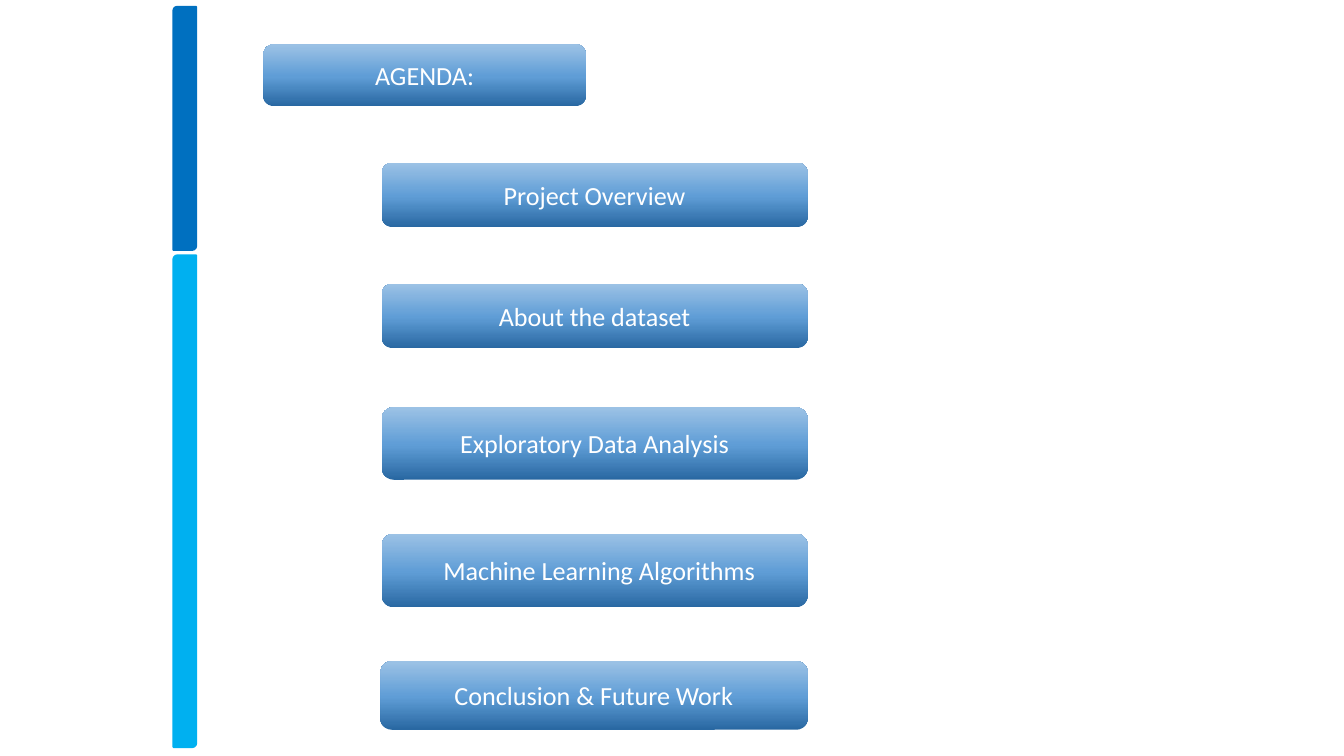
from copy import deepcopy
from dataclasses import dataclass

from pptx import Presentation
from pptx.dml.color import RGBColor
from pptx.enum.shapes import MSO_SHAPE
from pptx.enum.text import MSO_ANCHOR, MSO_AUTO_SIZE, PP_ALIGN
from pptx.oxml.ns import qn
from pptx.util import Inches, Pt

COLORS = {
    "upper_bar": "0070C0",
    "lower_bar": "00B0F0",
    "dark": "2968A2",
    "middle": "5F9DD6",
    "light": "9CC2E5",
    "text": "FFFFFF",
}
GRADIENT = [(0, "dark"), (0.48, "middle"), (1, "light")]
FRAME_FORMAT = {
    "word_wrap": True,
    "auto_size": MSO_AUTO_SIZE.NONE,
    "vertical_anchor": MSO_ANCHOR.MIDDLE,
    "margin_right": Inches(0.07),
    "margin_top": Inches(0.04),
    "margin_bottom": Inches(0.04),
}
FONT_FORMAT = {"name": "Calibri", "size": Pt(14)}


@dataclass(frozen=True)
class Bar:
    top: float
    height: float
    color: str


@dataclass(frozen=True)
class Button:
    text: str
    top: float
    height: float
    left: float = 2.84
    width: float = 3.17
    left_margin: float = 0.07


BARS = [Bar(0.05, 1.81, "upper_bar"), Bar(1.9, 3.66, "lower_bar")]
BUTTONS = [
    Button("AGENDA:", 0.33, 0.46, left=1.96, width=2.4),
    Button("Project Overview", 1.21, 0.48),
    Button("About the dataset", 2.11, 0.48),
    Button("Exploratory Data Analysis", 3.03, 0.54),
    Button("Machine Learning Algorithms", 3.97, 0.55, left_margin=0.14),
    Button("Conclusion & Future Work", 4.92, 0.51, left=2.83, width=3.18),
]


def rgb(name: str) -> RGBColor:
    return RGBColor.from_string(COLORS[name])


def apply_format(target, values: dict) -> None:
    for name, value in values.items():
        setattr(target, name, value)


def add_box(page, kind: MSO_SHAPE, left: float, top: float, width: float, height: float):
    box = page.shapes.add_shape(
        kind, Inches(left), Inches(top), Inches(width), Inches(height)
    )
    box.shadow.inherit = False
    return box


def fill_gradient(box) -> None:
    box.fill.gradient()
    box.fill.gradient_angle = 90
    stop_list = next(box._element.spPr.iter(qn("a:gsLst")))
    stop_list.insert(1, deepcopy(stop_list[0]))
    for stop, (position, color) in zip(box.fill.gradient_stops, GRADIENT):
        stop.position = position
        stop.color.rgb = rgb(color)


def draw_bar(page, bar: Bar) -> None:
    box = add_box(page, MSO_SHAPE.ROUND_2_DIAG_RECTANGLE, 1.29, bar.top, 0.17, bar.height)
    box.fill.solid()
    box.fill.fore_color.rgb = rgb(bar.color)
    box.line.color.rgb = rgb(bar.color)
    box.line.width = Pt(1)


def draw_button(page, button: Button) -> None:
    box = add_box(
        page, MSO_SHAPE.ROUNDED_RECTANGLE,
        button.left, button.top, button.width, button.height,
    )
    fill_gradient(box)
    box.line.fill.background()
    frame = box.text_frame
    apply_format(frame, FRAME_FORMAT)
    frame.margin_left = Inches(button.left_margin)
    paragraph = frame.paragraphs[0]
    paragraph.alignment = PP_ALIGN.CENTER
    span = paragraph.add_run()
    span.text = button.text
    apply_format(span.font, FONT_FORMAT)
    span.font.color.rgb = rgb("text")


def main() -> None:
    deck = Presentation()
    deck.slide_width = Inches(10)
    deck.slide_height = deck.slide_width * 9 // 16
    page = deck.slides.add_slide(deck.slide_layouts.get_by_name("Blank"))
    for bar in BARS:
        draw_bar(page, bar)
    for button in BUTTONS:
        draw_button(page, button)
    deck.save("out.pptx")


if __name__ == "__main__":
    main()
